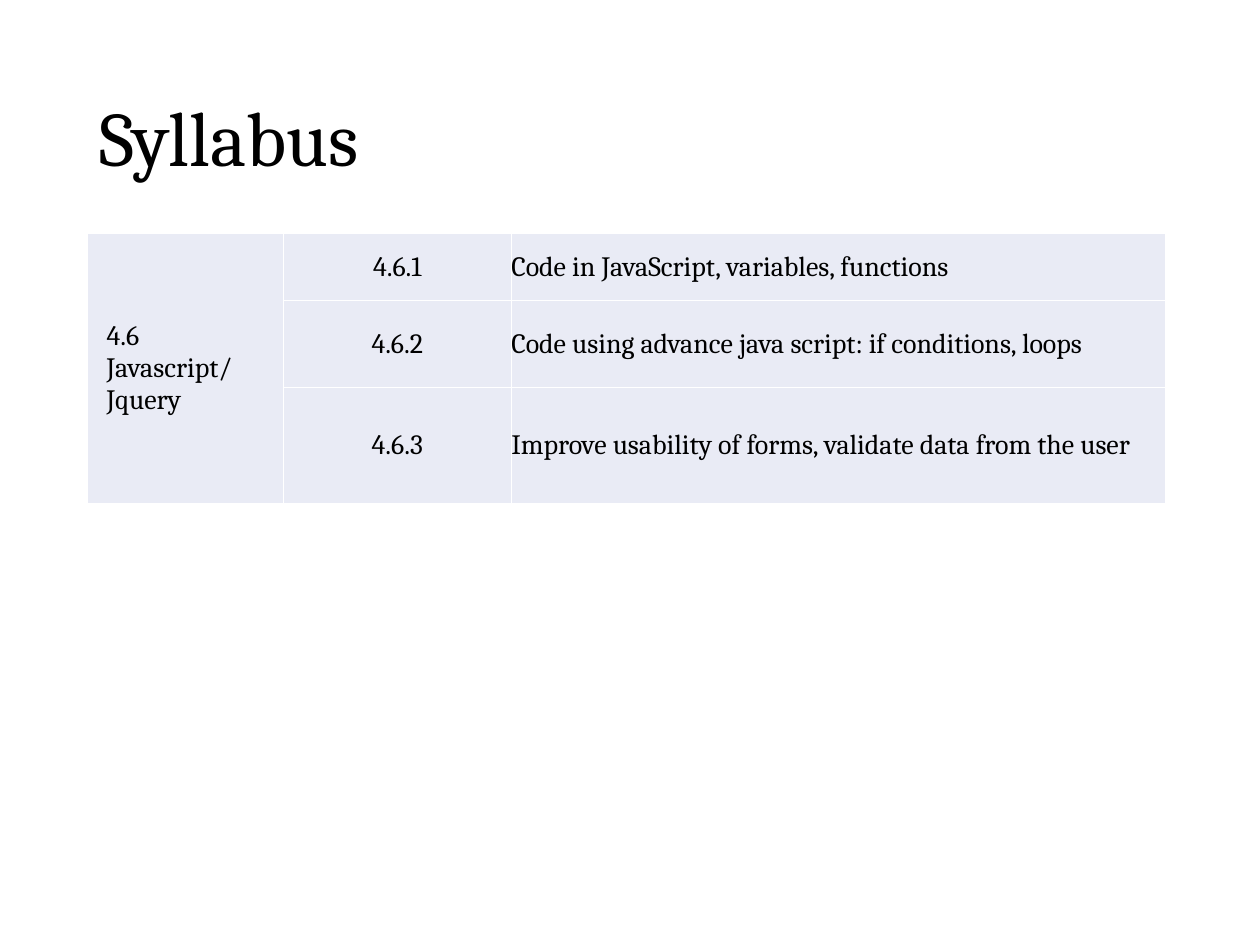
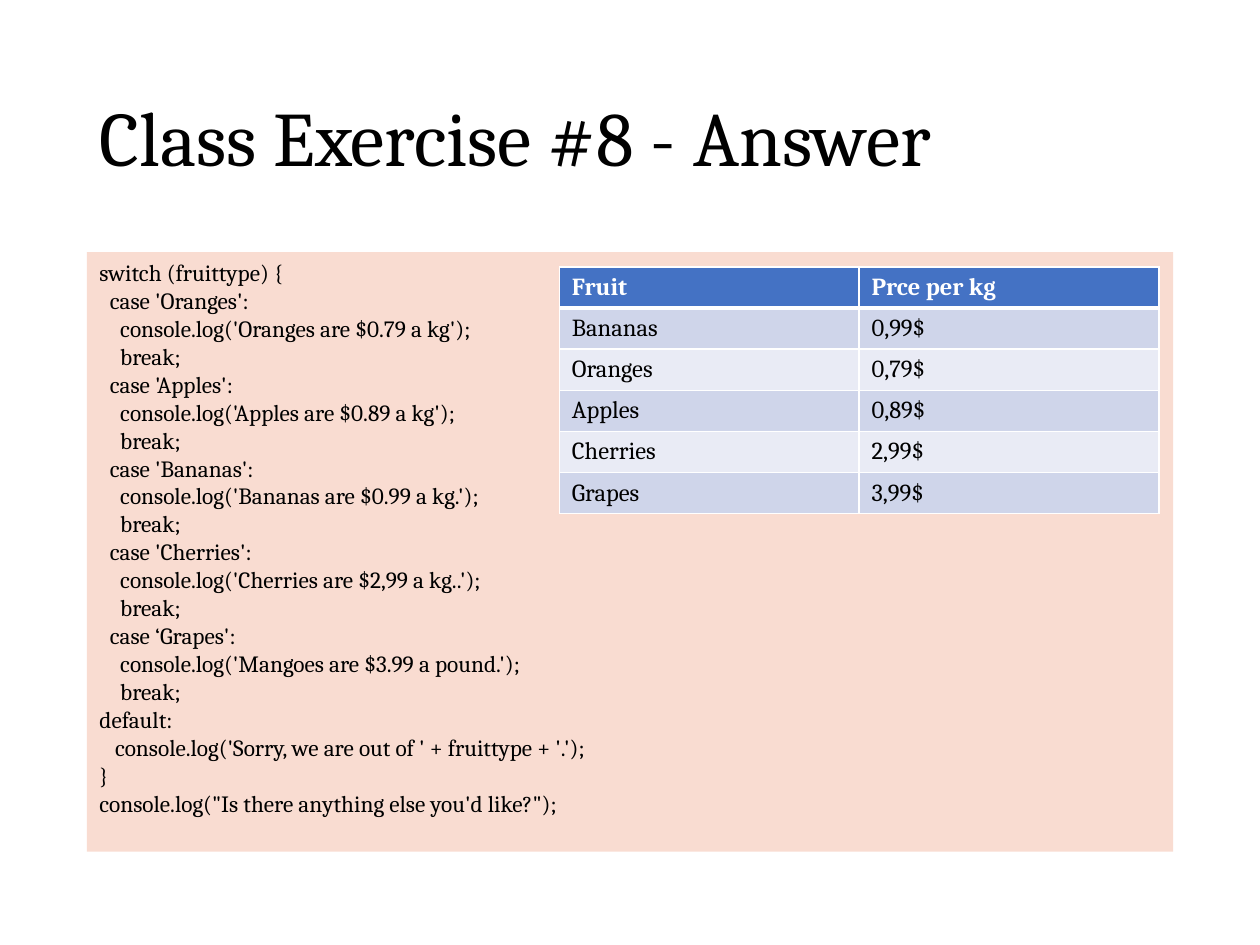
"""Build two course slides: a syllabus table and a switch exercise with its answer."""
from lxml import etree
from pptx import Presentation
from pptx.dml.color import RGBColor
from pptx.enum.text import MSO_ANCHOR, MSO_AUTO_SIZE, PP_ALIGN
from pptx.oxml.ns import qn
from pptx.util import Cm, Pt

LEFT, CENTER = PP_ALIGN.LEFT, PP_ALIGN.CENTER
TOP, MIDDLE = MSO_ANCHOR.TOP, MSO_ANCHOR.MIDDLE
NO_AUTOFIT = MSO_AUTO_SIZE.NONE

FONT = "Cambria"
BLACK = RGBColor(0x00, 0x00, 0x00)
WHITE = RGBColor(0xFF, 0xFF, 0xFF)
BLUE = RGBColor(0x44, 0x72, 0xC4)
BAND_DARK = RGBColor(0xCF, 0xD5, 0xEA)
BAND_LIGHT = RGBColor(0xE9, 0xEB, 0xF5)
PEACH = RGBColor(0xF9, 0xDC, 0xD1)

MARGIN, CONTENT_WIDTH = Cm(1.75), Cm(21.9)
SPACE_WIDTH = Cm(0.105)
CELL_INSETS = (Cm(0.25), Cm(0.13))
TOPIC_INSETS = (Cm(0.4), Cm(0.2))

TOPIC = "4.6 Javascript/ Jquery"
LESSONS = [
    ("4.6.1", "Code in JavaScript, variables, functions"),
    ("4.6.2", "Code using advance java script: if conditions, loops"),
    ("4.6.3", "Improve usability of forms, validate data from the user"),
]
PRICES = [
    ("Fruit", "Prce per kg"),
    ("Bananas", "0,99$"),
    ("Oranges", "0,79$"),
    ("Apples", "0,89$"),
    ("Cherries", "2,99$"),
    ("Grapes", "3,99$"),
]
CASES = [
    ("'Oranges'", "Oranges are $0.79 a kg"),
    ("'Apples'", "Apples are $0.89 a kg"),
    ("'Bananas'", "Bananas are $0.99 a kg."),
    ("'Cherries'", "Cherries are $2,99 a kg.."),
    ("\u2018Grapes'", "Mangoes are $3.99 a pound."),
]
CODE = [(0, "switch (fruittype) {")]
for label, message in CASES:
    CODE += [(2, f"case {label}:"), (4, f"console.log('{message}');"), (4, "break;")]
CODE += [
    (0, "default:"),
    (3, "console.log('Sorry, we are out of ' + fruittype + '.');"),
    (0, "}"),
    (0, "console.log(\"Is there anything else you'd like?\");"),
]


def style(paragraph, size, color=BLACK, bold=False, align=LEFT):
    paragraph.alignment = align
    font = paragraph.font
    font.name, font.size, font.bold = FONT, Pt(size), bold
    font.color.rgb = color


def place(part, left, top, width, height):
    part.left, part.top, part.width, part.height = left, top, width, height


def add_titled_slide(layout, title):
    slide = prs.slides.add_slide(layout)
    heading = slide.shapes.title
    place(heading, MARGIN, Cm(1.02), CONTENT_WIDTH, Cm(3.68))
    frame = heading.text_frame
    frame.text = title
    frame.auto_size, frame.vertical_anchor = NO_AUTOFIT, MIDDLE
    frame.paragraphs[0].line_spacing = 0.9
    style(frame.paragraphs[0], 44)
    return slide


def add_plain_table(slide, left, top, widths, heights):
    table = slide.shapes.add_table(
        len(heights), len(widths), left, top, sum(widths), sum(heights)).table
    table.horz_banding = False
    for column, width in zip(table.columns, widths):
        column.width = width
    for row, height in zip(table.rows, heights):
        row.height = height
    return table


def fill_cell(cell, text, fill, size, color=BLACK, bold=False, align=LEFT,
              anchor=TOP, insets=CELL_INSETS, bottom_line=1, top_line=1):
    cell.text = text
    style(cell.text_frame.paragraphs[0], size, color, bold, align)
    cell.vertical_anchor = anchor
    cell.margin_left = cell.margin_right = insets[0]
    cell.margin_top = cell.margin_bottom = insets[1]
    properties = cell._tc.get_or_add_tcPr()
    for side, points in (("L", 1), ("R", 1), ("T", top_line), ("B", bottom_line)):
        line = etree.SubElement(properties, qn(f"a:ln{side}"), w=str(Pt(points)))
        solid = etree.SubElement(line, qn("a:solidFill"))
        etree.SubElement(solid, qn("a:srgbClr"), val=str(WHITE))
    cell.fill.solid()
    cell.fill.fore_color.rgb = fill


def build_syllabus():
    slide = add_titled_slide(title_only, "Syllabus")
    table = add_plain_table(slide, MARGIN, Cm(4.7), [Cm(3.96), Cm(4.6), Cm(13.2)],
                            [Cm(1.36), Cm(1.75), Cm(1.75)])
    table.first_row = False
    table.cell(0, 0).merge(table.cell(len(LESSONS) - 1, 0))
    fill_cell(table.cell(0, 0), TOPIC, BAND_LIGHT, 16, anchor=MIDDLE, insets=TOPIC_INSETS)
    for row, lesson in enumerate(LESSONS):
        for column, (text, align) in enumerate(zip(lesson, (CENTER, LEFT)), start=1):
            fill_cell(table.cell(row, column), text, BAND_LIGHT, 16,
                      align=align, anchor=MIDDLE, insets=(0, 0))


def build_answer():
    slide = add_titled_slide(title_and_content, "Class Exercise #8 - Answer")
    code_box = slide.placeholders[1]
    place(code_box, MARGIN, Cm(5.08), CONTENT_WIDTH, Cm(12.09))
    code_box.fill.solid()
    code_box.fill.fore_color.rgb = PEACH
    frame = code_box.text_frame
    frame.text = "\n".join(text for _, text in CODE)
    frame.auto_size, frame.vertical_anchor = NO_AUTOFIT, TOP
    for paragraph, (spaces, _) in zip(frame.paragraphs, CODE):
        style(paragraph, 13.3)
        paragraph.space_before = Pt(0)
        paragraph.line_spacing = Pt(15.95)
        properties = paragraph._p.get_or_add_pPr()
        properties.set("marL", str(spaces * SPACE_WIDTH))
        properties.set("indent", "0")
        etree.SubElement(properties, qn("a:buNone"))
        properties.append(properties.find(qn("a:defRPr")))

    table = add_plain_table(slide, Cm(11.28), Cm(5.38), [Cm(6.04)] * 2,
                            [Cm(0.82)] * len(PRICES))
    for row, entry in enumerate(PRICES):
        header = row == 0
        fill = BLUE if header else (BAND_LIGHT, BAND_DARK)[row % 2]
        for column, text in enumerate(entry):
            fill_cell(table.cell(row, column), text, fill, 14,
                      WHITE if header else BLACK, bold=header,
                      bottom_line=3 if header else 1, top_line=3 if row == 1 else 1)


prs = Presentation()
prs.slide_width, prs.slide_height = Cm(25.4), Cm(19.05)
title_only, title_and_content = prs.slide_layouts[5], prs.slide_layouts[1]
build_syllabus()
build_answer()
prs.save("out.pptx")
